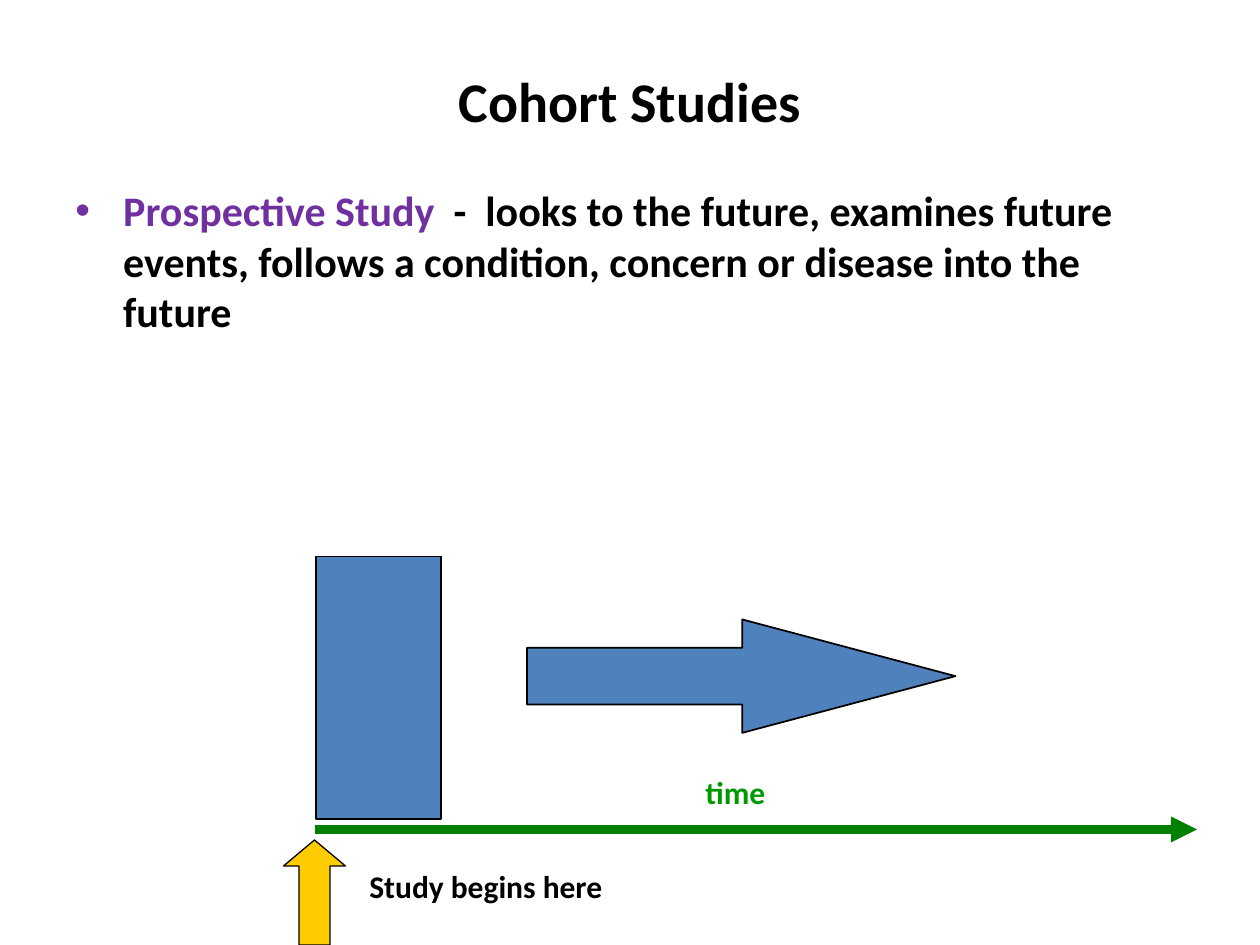
import pptx
import pptx.util
import pptx.dml.color
import pptx.enum.shapes
import pptx.enum.text
import pptx.oxml
import pptx.oxml.ns
import lxml.etree

KIND = pptx.enum.shapes.MSO_SHAPE
ALIGN = pptx.enum.text.PP_ALIGN
ANCHOR = pptx.enum.text.MSO_ANCHOR
FIT = pptx.enum.text.MSO_AUTO_SIZE

COLS, ROWS = 120, 90
FONT = "Calibri"
BLACK, BLUE, GOLD = "000000", "4F81BD", "FFCC00"
PURPLE, GREEN, LIME = "7030A0", "008000", "009900"

TITLE = ("Cohort Studies", (9, 4, 102, 11))
BODY = (6, 17, 109, 19)
POINT = [
    ("Prospective Study  ", PURPLE),
    ("-  looks to the future, examines future events, follows a condition, "
     "concern or disease into the future", BLACK),
]
SHAPES = [
    (KIND.RIGHT_ARROW, (50.2, 59, 40.8, 10.8), BLUE, 1, (0.5, 1.88)),
    (KIND.RECTANGLE, (30.1, 53, 11.9, 25), BLUE, 1, ()),
    (KIND.UP_ARROW, (27, 80, 5.9, 10), GOLD, 0.75, (0.5, 0.42)),
]
AXIS = (30, 79, 114, 79)
LABELS = [
    ("time", (66, 73, 10, 6), LIME),
    ("Study begins here", (34, 82, 32.9, 6), BLACK),
]

deck = pptx.Presentation()
deck.slide_width = pptx.util.Inches(10)
deck.slide_height = pptx.util.Inches(7.5)
slide = deck.slides.add_slide(deck.slide_layouts[5])
parts = slide.shapes


def tint(code):
    return pptx.dml.color.RGBColor.from_string(code)


def place(box):
    wide, high = deck.slide_width / COLS, deck.slide_height / ROWS
    return [round(n * unit) for n, unit in zip(box, (wide, high) * 2)]


def write(par, text, size=18, color=BLACK, bold=True):
    run = par.add_run()
    run.text = text
    font = run.font
    font.name, font.size, font.bold = FONT, pptx.util.Pt(size), bold
    font.color.rgb = tint(color)


def bullet(par, mark, indent):
    props = par._p.get_or_add_pPr()
    props.set("marL", str(indent))
    props.set("indent", str(-indent))
    tag = pptx.oxml.ns.qn
    face = lxml.etree.SubElement(props, tag("a:buFont"))
    face.set("typeface", "Arial")
    lxml.etree.SubElement(props, tag("a:buChar")).set("char", mark)


def stroke(line, color, width):
    line.color.rgb = tint(color)
    line.width = pptx.util.Pt(width)


text, box = TITLE
head = parts.title
head.left, head.top, head.width, head.height = place(box)
head.text_frame.vertical_anchor = ANCHOR.MIDDLE
par = head.text_frame.paragraphs[0]
par.alignment = ALIGN.CENTER
write(par, text, size=32)

frame = parts.add_textbox(*place(BODY)).text_frame
frame.word_wrap = True
par = frame.paragraphs[0]
par.space_before = pptx.util.Pt(4.8)
bullet(par, "•", pptx.util.Inches(0.38))
for text, color in POINT:
    write(par, text, size=24, color=color)

for kind, box, fill, width, bends in SHAPES:
    shape = parts.add_shape(kind, *place(box))
    shape.shadow.inherit = False
    shape.fill.solid()
    shape.fill.fore_color.rgb = tint(fill)
    stroke(shape.line, BLACK, width)
    for spot, bend in enumerate(bends):
        shape.adjustments[spot] = bend

axis = parts.add_connector(pptx.enum.shapes.MSO_CONNECTOR.STRAIGHT, *place(AXIS))
stroke(axis.line, GREEN, 5)
tail = lxml.etree.SubElement(axis.line._get_or_add_ln(), pptx.oxml.ns.qn("a:tailEnd"))
tail.set("type", "triangle")
lxml.etree.SubElement(axis._element.spPr, pptx.oxml.ns.qn("a:effectLst"))

for text, box, color in LABELS:
    frame = parts.add_textbox(*place(box)).text_frame
    frame.word_wrap = False
    frame.auto_size = FIT.SHAPE_TO_FIT_TEXT
    write(frame.paragraphs[0], text, color=color)

deck.save("out.pptx")
